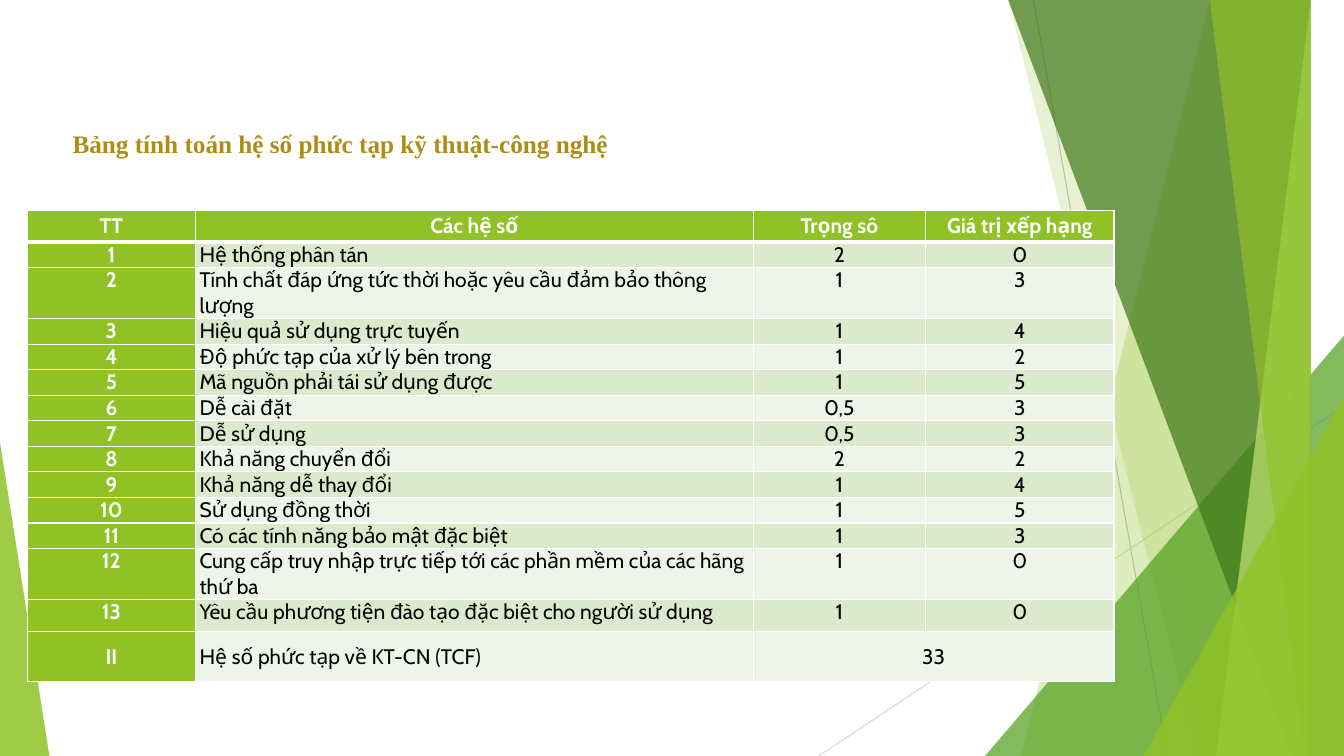
"""Slide with the table of technical complexity factors beside green facets."""
from lxml.etree import SubElement
from pptx import Presentation
from pptx.dml.color import RGBColor
from pptx.enum.shapes import MSO_CONNECTOR, MSO_SHAPE
from pptx.enum.text import MSO_ANCHOR as Anchor, PP_ALIGN as Align
from pptx.oxml.ns import qn
from pptx.util import Inches, Pt

COLORS = {
    "green": "90C226", "leaf": "54A021", "forest": "3F7819", "lime": "C0E474",
    "band": "DBE9CD", "pale": "EEF4E8", "gold": "AF8C14", "white": "FFFFFF",
    "black": "000000", "gray": "BFBFBF", "silver": "D9D9D9",
}
WIDTH, HEIGHT, TOP = 13.33, 7.5, -0.01


def rgb(name):
    return RGBColor.from_string(COLORS[name])


def write(paragraph, text, font, size, color, bold):
    run = paragraph.add_run()
    run.text = text
    run.font.name, run.font.size, run.font.bold = font, Pt(size), bold
    run.font.color.rgb = rgb(color)


deck = Presentation()
deck.slide_width, deck.slide_height = Inches(WIDTH), Inches(HEIGHT)
slide = deck.slides.add_slide(deck.slide_layouts[5])
shapes = slide.shapes

rays = [((10.25, 0), (11.58, HEIGHT), "gray"),
        ((WIDTH, 4.03), (8.12, HEIGHT), "silver")]
for start, end, color in rays:
    ray = shapes.add_connector(MSO_CONNECTOR.STRAIGHT,
                               *[Inches(v) for v in start + end])
    ray.line.color.rgb, ray.line.width = rgb(color), Pt(0.75)
    SubElement(ray._element.spPr, qn("a:effectLst"))

facets = [
    ("blade", (12.28, 10.04), "green", 30),
    ("blade", (10.5, 11.83), "green", 20),
    ("corner", (9.77, 3.33, 3.56, 1), "leaf", 72),
    ("blade", (10.21, 12.91), "forest", 70),
    ("blade", (13.03, 11.92), "lime", 70),
    ("blade", (11.96, 13.18), "green", 65),
    ("corner", (11.34, 3.93, 1.99, 1), "green", 80),
    ("corner", (0, 4.39, 0.49, 0), "green", 85),
]
for kind, place, color, opacity in facets:
    if kind == "blade":
        upper, lower = place
        outline = shapes.build_freeform(upper, TOP, scale=Inches(1))
        outline.add_line_segments(
            [(WIDTH, TOP), (WIDTH, HEIGHT), (lower, HEIGHT)], close=True)
        facet = outline.convert_to_shape()
    else:
        left, top, width, apex = place
        facet = shapes.add_shape(
            MSO_SHAPE.ISOSCELES_TRIANGLE, Inches(left), Inches(top),
            Inches(width), Inches(HEIGHT - top))
        facet.adjustments[0] = apex
    facet.shadow.inherit = False
    facet.line.fill.background()
    facet.fill.solid()
    facet.fill.fore_color.rgb = rgb(color)
    tint = facet._element.spPr.find(qn("a:solidFill"))[0]
    SubElement(tint, qn("a:alpha"), val=str(opacity * 1000))

title = shapes.title
title.left, title.top = Inches(0.56), Inches(1.22)
title.width, title.height = Inches(6.68), Inches(0.4)
heading = title.text_frame
heading.word_wrap, heading.vertical_anchor = True, Anchor.TOP
heading.margin_left = Inches(0.16)
heading.paragraphs[0].alignment = Align.LEFT
write(heading.paragraphs[0], "Bảng tính toán hệ số phức tạp kỹ thuật-công nghệ",
      "Times New Roman", 18, "gold", True)

factors = [
    ("Hệ thống phân tán", "2", "0"),
    ("Tính chất đáp ứng tức thời hoặc yêu cầu đảm bảo thông lượng", "1", "3"),
    ("Hiệu quả sử dụng trực tuyến", "1", "4"),
    ("Độ phức tạp của xử lý bên trong", "1", "2"),
    ("Mã nguồn phải tái sử dụng được", "1", "5"),
    ("Dễ cài đặt", "0,5", "3"),
    ("Dễ sử dụng", "0,5", "3"),
    ("Khả năng chuyển đổi", "2", "2"),
    ("Khả năng dễ thay đổi", "1", "4"),
    ("Sử dụng đồng thời", "1", "5"),
    ("Có các tính năng bảo mật đặc biệt", "1", "3"),
    ("Cung cấp truy nhập trực tiếp tới các phần mềm của các hãng thứ ba", "1", "0"),
    ("Yêu cầu phương tiện đào tạo đặc biệt cho người sử dụng", "1", "0"),
]
rows = [("TT", "Các hệ số", "Trọng sô", "Giá trị xếp hạng")]
rows += [(str(n), *factor) for n, factor in enumerate(factors, 1)]
rows += [("II", "Hệ số phức tạp về KT-CN (TCF)", "33", "")]
last = len(rows) - 1
columns = [1.67, 5.53, 1.71, 1.87]
line_height = 0.25
special_heights = {0: 0.31, 2: 2 * line_height, 12: 2 * line_height,
                   13: 0.32, last: 0.49}
heights = [special_heights.get(r, line_height) for r in range(len(rows))]

table = shapes.add_table(len(rows), len(columns), Inches(0.27), Inches(2.09),
                         Inches(sum(columns)), Inches(sum(heights))).table
table.horz_banding = False
for column, width in zip(table.columns, columns):
    column.width = Inches(width)
for r, texts in enumerate(rows):
    table.rows[r].height = Inches(heights[r])
    for c, text in enumerate(texts):
        cell = table.cell(r, c)
        heavy = {0: "lnB", 1: "lnT"}.get(r)
        for side in ("lnL", "lnR", "lnT", "lnB"):
            border = SubElement(cell._tc.get_or_add_tcPr(), qn(f"a:{side}"),
                                w=str(Pt(3 if side == heavy else 1)))
            SubElement(SubElement(border, qn("a:solidFill")), qn("a:srgbClr"),
                       val=COLORS["white"])
        accent = r == 0 or c == 0
        cell.fill.solid()
        cell.fill.fore_color.rgb = rgb(
            "green" if accent else "band" if r % 2 else "pale")
        cell.margin_left = cell.margin_right = Inches(0.04)
        cell.margin_top = cell.margin_bottom = 0
        cell.vertical_anchor = Anchor.MIDDLE if r in (0, last) else Anchor.TOP
        if text:
            paragraph = cell.text_frame.paragraphs[0]
            paragraph.alignment = Align.LEFT if c == 1 and r else Align.CENTER
            write(paragraph, text, "Cabin", 15,
                  "white" if accent else "black", accent)
table.cell(last, 2).merge(table.cell(last, 3))

deck.save("out.pptx")
